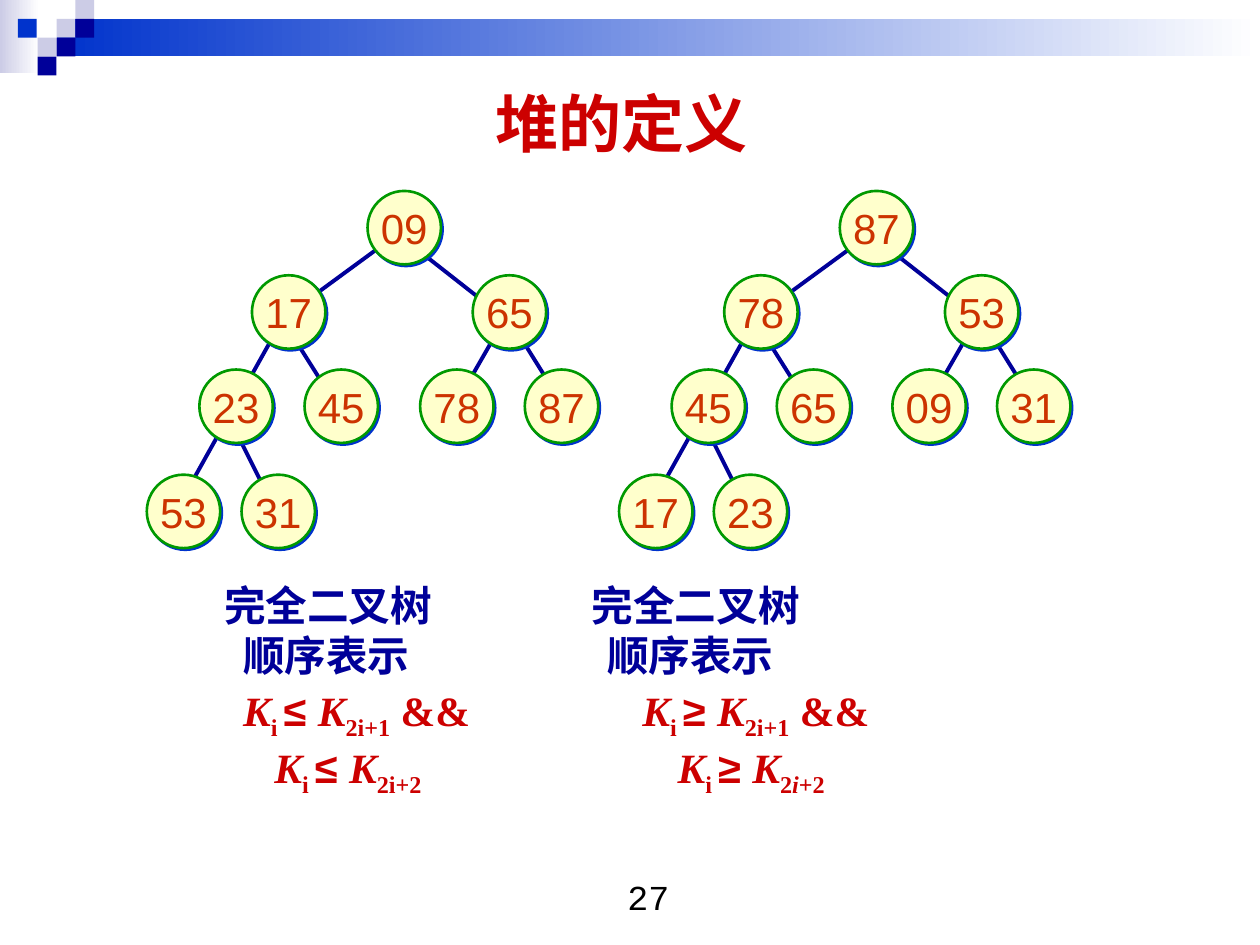
from lxml import etree
from pptx import Presentation
from pptx.dml.color import RGBColor
from pptx.enum.shapes import MSO_CONNECTOR, MSO_SHAPE
from pptx.enum.text import MSO_ANCHOR, PP_ALIGN
from pptx.oxml.ns import qn
from pptx.util import Cm, Pt

RECTANGLE, OVAL = MSO_SHAPE.RECTANGLE, MSO_SHAPE.OVAL
STRAIGHT = MSO_CONNECTOR.STRAIGHT
CENTER, LEFT = PP_ALIGN.CENTER, PP_ALIGN.LEFT
MIDDLE, TOP = MSO_ANCHOR.MIDDLE, MSO_ANCHOR.TOP

COLORS = {
    "navy": "000099", "blue": "0033CC", "lavender": "CCCCE6", "white": "FFFFFF",
    "red": "CC0000", "cream": "FFFFCC", "green": "009900", "orange": "CC3300",
    "black": "000000",
}
SQUARE = 0.38
SQUARES = [
    (1.14, 0.38, "lavender"), (1.52, 0, "lavender"), (1.52, 0.38, "navy"),
    (0.76, 0.76, "lavender"), (0.36, 0.38, "blue"), (1.14, 0.76, "navy"),
    (0.76, 1.14, "navy"),
]
NODE_SIZE = 1.48
NODE_PLACES = [
    (7.41, 3.85), (5.08, 5.55), (9.53, 5.55),
    (4.02, 7.45), (6.14, 7.45), (8.47, 7.45), (10.58, 7.45),
    (2.96, 9.57), (4.87, 9.57),
]
EDGES = [
    (8.04, 4.7, 5.72, 6.4), (8.26, 4.91, 10.16, 6.4), (5.72, 6.4, 3.6, 10.2),
    (5.93, 6.82, 6.99, 8.5), (9.95, 6.82, 9.1, 8.3), (10.37, 6.6, 11.43, 8.3),
    (4.87, 8.93, 5.72, 10.63),
]
HEAPS = [
    (0, ["09", "17", "65", "23", "45", "78", "87", "53", "31"]),
    (9.52, ["87", "78", "53", "45", "65", "09", "31", "17", "23"]),
]


def condition(sign, index, ending=()):
    """Return the runs of one heap condition as (text, style) pairs."""
    return [("K", "italic"), ("i ", "sub"), (sign + " ", "sign"),
            ("K", "italic"), (index, "sub"), *ending]


AND = [(" &&", "plain")]
LAST_INDEX = [("i", "italic sub"), ("+2", "sub")]
CAPTION = [
    ("Arial", "navy", (1.73, [("完全二叉树", "plain")]), (9.14, [("完全二叉树", "plain")])),
    ("Arial", "navy", (2.11, [("顺序表示", "plain")]), (9.45, [("顺序表示", "plain")])),
    ("Times New Roman", "red",
     (2.11, condition("≤", "2i+1", AND)), (10.16, condition("≥", "2i+1", AND))),
    ("Times New Roman", "red",
     (2.74, condition("≤", "2i+2")), (10.87, condition("≥", "2", LAST_INDEX))),
]


class SlideBuilder:
    """Draws styled elements on the current slide."""

    def __init__(self, slide):
        """Keep the slide to draw on."""
        self.slide = slide

    def color(self, name):
        """Return a named colour."""
        return RGBColor.from_string(COLORS[name])

    def style(self, font, name, size, color, bold=False):
        """Apply the main font settings."""
        font.name, font.size, font.bold = name, Pt(size), bold
        font.color.rgb = self.color(color)

    def bar(self, left, top, width, height, start, end=None):
        """Add a borderless rectangle, fading to the end colour if given."""
        shape = self.slide.shapes.add_shape(
            RECTANGLE, Cm(left), Cm(top), Cm(width), Cm(height))
        shape.shadow.inherit = False
        shape.line.fill.background()
        if end is None:
            shape.fill.solid()
            shape.fill.fore_color.rgb = self.color(start)
            return
        shape.fill.gradient()
        shape.fill.gradient_angle = 0
        for stop, name in zip(shape.fill.gradient_stops, (start, end)):
            stop.color.rgb = self.color(name)

    def edge(self, x1, y1, x2, y2):
        """Add a tree edge."""
        connector = self.slide.shapes.add_connector(
            STRAIGHT, Cm(x1), Cm(y1), Cm(x2), Cm(y2))
        connector.line.color.rgb = self.color("navy")
        connector.line.width = Pt(2.25)
        etree.SubElement(connector._element.spPr, qn("a:effectLst"))

    def node(self, left, top, key):
        """Add a tree node with its key and a hard shadow."""
        shape = self.slide.shapes.add_shape(
            OVAL, Cm(left), Cm(top), Cm(NODE_SIZE), Cm(NODE_SIZE))
        shape.fill.solid()
        shape.fill.fore_color.rgb = self.color("cream")
        shape.line.color.rgb = self.color("green")
        shape.line.width = Pt(1.5)
        shape.shadow.inherit = False
        effects = shape._element.spPr.find(qn("a:effectLst"))
        shadow = etree.SubElement(effects, qn("a:outerShdw"), dist=str(Pt(1.4)),
                                  dir="2700000", algn="ctr", rotWithShape="0")
        etree.SubElement(shadow, qn("a:srgbClr"), val=COLORS["blue"])
        frame = shape.text_frame
        frame.margin_left = frame.margin_right = 0
        frame.margin_top = frame.margin_bottom = 0
        frame.word_wrap = False
        frame.vertical_anchor = MIDDLE
        paragraph = frame.paragraphs[0]
        paragraph.text, paragraph.alignment = key, CENTER
        self.style(paragraph.font, "Arial", 24, "orange")

    def frame(self, left, top, width, height, anchor=TOP):
        """Add a wrapping text box and return its text frame."""
        frame = self.slide.shapes.add_textbox(
            Cm(left), Cm(top), Cm(width), Cm(height)).text_frame
        frame.word_wrap, frame.vertical_anchor = True, anchor
        return frame

    def label(self, place, text, font, size, color, bold=False, anchor=TOP):
        """Add one centred line of text."""
        paragraph = self.frame(*place, anchor).paragraphs[0]
        paragraph.text, paragraph.alignment = text, CENTER
        self.style(paragraph.font, font, size, color, bold)

    def caption(self, place, lines):
        """Add lines whose two columns start at tab stops."""
        frame = self.frame(*place)
        for number, (font, color, *columns) in enumerate(lines):
            paragraph = frame.add_paragraph() if number else frame.paragraphs[0]
            paragraph.alignment, paragraph.line_spacing = LEFT, 0.95
            if number:
                paragraph.space_before = Pt(1.8)
            tabs = etree.SubElement(paragraph._p.get_or_add_pPr(), qn("a:tabLst"))
            for position, _ in columns:
                etree.SubElement(tabs, qn("a:tab"), pos=str(Cm(position)), algn="l")
            self.style(paragraph.font, font, 23.8, color, True)
            for _, runs in columns:
                for text, style in [("\t", "plain"), *runs]:
                    self.run(paragraph, text, style)

    def run(self, paragraph, text, style):
        """Add a run that differs from its paragraph only by style."""
        run = paragraph.add_run()
        run.text = text
        if "italic" in style:
            run.font.italic = True
        if "sub" in style:
            run.font._element.set("baseline", "-25000")
        if style == "sign":
            run.font.name = "Arial"


def main():
    """Build and save the slide."""
    presentation = Presentation()
    presentation.slide_width, presentation.slide_height = Cm(25.4), Cm(19.05)
    builder = SlideBuilder(presentation.slides.add_slide(presentation.slide_layouts[6]))
    builder.bar(0, 0, 0.79, 1.48, "lavender", "white")
    builder.bar(1.14, 0.38, 24.26, 0.76, "blue", "white")
    for left, top, color in SQUARES:
        builder.bar(left, top, SQUARE, SQUARE, color)
    for offset, keys in HEAPS:
        for x1, y1, x2, y2 in EDGES:
            builder.edge(x1 + offset, y1, x2 + offset, y2)
        for (left, top), key in zip(NODE_PLACES, keys):
            builder.node(left + offset, top, key)
    builder.label((1.09, 1.52, 22.86, 1.9), "堆的定义", "Times New Roman", 36, "red",
                  True, MIDDLE)
    builder.caption((2.54, 11.63, 20.27, 6), CAPTION)
    builder.label((10.11, 17.53, 5.92, 1.32), "27", "Courier New", 20, "black")
    presentation.save("out.pptx")


if __name__ == "__main__":
    main()
